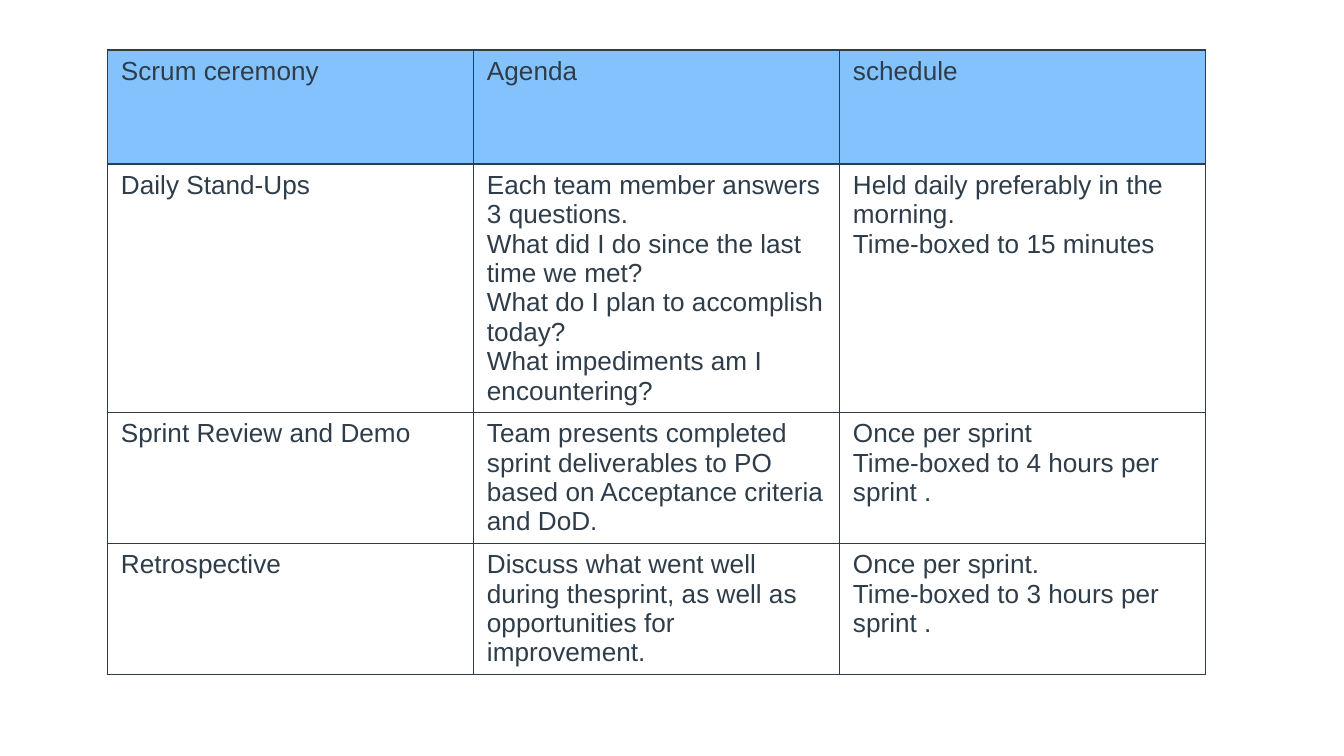
from lxml import etree
from pptx import Presentation
from pptx import util as u
from pptx.dml.color import RGBColor
from pptx.oxml.ns import qn

SLIDE_WIDTH = 10
SLIDE_HEIGHT = SLIDE_WIDTH * 9 / 16
INK = "2E3D49"
HEADER_FILL = "83C2FD"
FONT = {"name": "Arial", "size": u.Pt(14), "bold": False}
TABLE_FLAGS = {"first_row": False, "horz_banding": False}
TABLE_WIDTH = 8.17
ROW_HEIGHTS = [0.85, 1.66, 0.87, 0.87]
CEREMONIES = [
    ["Scrum ceremony", "Agenda", "schedule"],
    [
        "Daily Stand-Ups",
        "Each team member answers 3 questions.\n"
        "What did I do since the last time we met?\n"
        "What do I plan to accomplish today?\n"
        "What impediments am I encountering?",
        "Held daily preferably in the morning.\nTime-boxed to 15 minutes",
    ],
    [
        "Sprint Review and Demo",
        "Team presents completed sprint deliverables to PO based on "
        "Acceptance criteria and DoD.",
        "Once per sprint\nTime-boxed to 4 hours per sprint .",
    ],
    [
        "Retrospective",
        "Discuss what went well during thesprint, as well as "
        "opportunities for improvement.",
        "Once per sprint.\nTime-boxed to 3 hours per sprint .",
    ],
]


def color(value):
    return RGBColor.from_string(value)


def set_values(target, values):
    for name, value in values.items():
        setattr(target, name, value)


def add_borders(cell, line_color, width):
    properties = cell._tc.get_or_add_tcPr()
    for index, side in enumerate(("lnL", "lnR", "lnT", "lnB")):
        line = etree.Element(qn(f"a:{side}"), w=str(u.Pt(width)))
        fill = etree.SubElement(line, qn("a:solidFill"))
        etree.SubElement(fill, qn("a:srgbClr"), val=line_color)
        properties.insert(index, line)


def fill_cell(cell, content, fill=None):
    cell.text = content
    for para in cell.text_frame.paragraphs:
        for span in para.runs:
            set_values(span.font, FONT)
            span.font.color.rgb = color(INK)
    if fill:
        cell.fill.solid()
        cell.fill.fore_color.rgb = color(fill)
    else:
        cell.fill.background()
    add_borders(cell, INK, 1)


def add_ceremony_table(page, left, top):
    columns = len(CEREMONIES[0])
    frame = page.shapes.add_table(
        len(CEREMONIES), columns, u.Inches(left), u.Inches(top),
        u.Inches(TABLE_WIDTH), u.Inches(sum(ROW_HEIGHTS)))
    table = frame.table
    set_values(table, TABLE_FLAGS)
    for column in table.columns:
        column.width = u.Inches(TABLE_WIDTH / columns)
    for row, height in zip(table.rows, ROW_HEIGHTS):
        row.height = u.Inches(height)
    for row_index, contents in enumerate(CEREMONIES):
        fill = HEADER_FILL if row_index == 0 else None
        for cell, content in zip(table.rows[row_index].cells, contents):
            fill_cell(cell, content, fill)


def main():
    deck = Presentation()
    set_values(deck, {
        "slide_width": u.Inches(SLIDE_WIDTH),
        "slide_height": u.Inches(SLIDE_HEIGHT),
    })
    page = deck.slides.add_slide(deck.slide_layouts[6])
    add_ceremony_table(page, 0.8, 0.37)
    deck.save("out.pptx")


if __name__ == "__main__":
    main()
